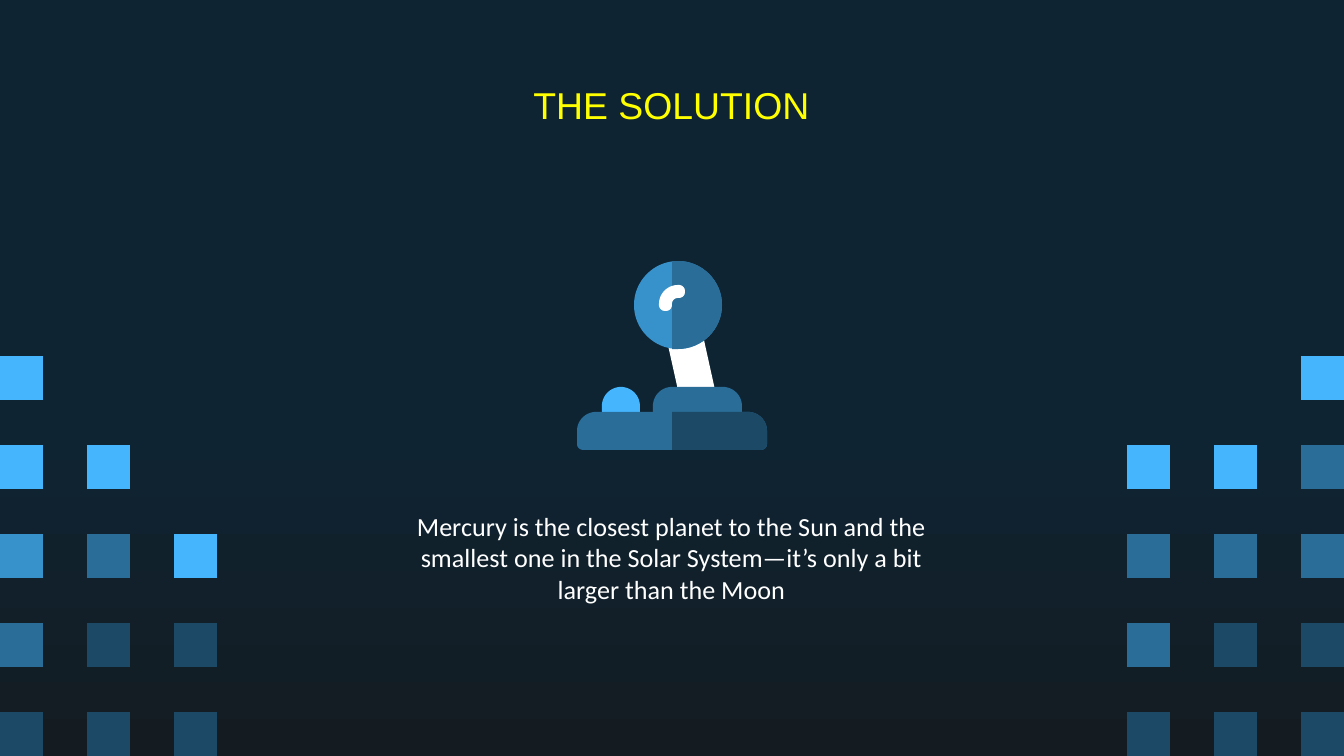
import pptx
import pptx.dml.color
import pptx.enum.text
import pptx.util

RGBColor = pptx.dml.color.RGBColor
NAVY = RGBColor(0x0E, 0x24, 0x33)
CHARCOAL = RGBColor(0x14, 0x1C, 0x21)
SKY = RGBColor(0x45, 0xB6, 0xFE)
AZURE = RGBColor(0x37, 0x92, 0xCB)
STEEL = RGBColor(0x29, 0x6D, 0x98)
DEEP = RGBColor(0x1C, 0x49, 0x66)
WHITE = RGBColor(0xFF, 0xFF, 0xFF)
YELLOW = RGBColor(0xFF, 0xFF, 0x00)

PX = 914400 / 134.4
CURVE_STEPS = 16
HANDLE = 0.55  # handle length that makes a cubic curve a quarter circle


def write_text(box, text, *, at, font, size, colour, anchor):
    box.left, box.top, box.width, box.height = [round(value * PX) for value in at]
    frame = box.text_frame
    frame.word_wrap = True
    frame.auto_size = pptx.enum.text.MSO_AUTO_SIZE.NONE
    frame.vertical_anchor = anchor
    frame.margin_left = frame.margin_right = pptx.util.Inches(0.1)
    frame.margin_top = frame.margin_bottom = pptx.util.Inches(0.1)
    para = frame.paragraphs[0]
    para.alignment = pptx.enum.text.PP_ALIGN.CENTER
    span = para.add_run()
    span.text = text
    span.font.name = font
    span.font.size = pptx.util.Pt(size)
    span.font.color.rgb = colour


def add_outline(colour, corners):
    """Draw a filled polygon from (x, y, radius) corners in px."""
    points = []
    for index, (x, y, radius) in enumerate(corners):
        if radius == 0:
            points.append((x * PX, y * PX))
            continue
        ends = []
        for other in (corners[index - 1], corners[(index + 1) % len(corners)]):
            dx, dy = other[0] - x, other[1] - y
            length = (dx * dx + dy * dy) ** 0.5
            ends.append((x + dx / length * radius, y + dy / length * radius))
        (ax, ay), (bx, by) = ends
        for step in range(CURVE_STEPS + 1):
            t = step / CURVE_STEPS
            near_start = (1 - t) ** 3 + 3 * (1 - t) ** 2 * t * (1 - HANDLE)
            near_end = t ** 3 + 3 * (1 - t) * t ** 2 * (1 - HANDLE)
            points.append(((x + (ax - x) * near_start + (bx - x) * near_end) * PX,
                           (y + (ay - y) * near_start + (by - y) * near_end) * PX))
    builder = page.shapes.build_freeform(*points[0], scale=1.0)
    builder.add_line_segments(points[1:], close=True)
    shape = builder.convert_to_shape()
    shape.shadow.inherit = False
    shape.fill.solid()
    shape.fill.fore_color.rgb = colour
    shape.line.fill.background()


deck = pptx.Presentation()
deck.slide_width = round(1344 * PX)
deck.slide_height = round(756 * PX)
page = deck.slides.add_slide(deck.slide_layouts[5])

backdrop = page.background.fill
backdrop.gradient()
backdrop.gradient_angle = 270
for stop, position, colour in zip(backdrop.gradient_stops, (0.56, 1), (NAVY, CHARCOAL)):
    stop.position = position
    stop.color.rgb = colour

# Stepped tiles in both lower corners: rows from the top, None for a gap
tile_groups = [
    (0, [(SKY, None, None), (SKY, SKY, None), (AZURE, STEEL, SKY),
         (STEEL, DEEP, DEEP), (DEEP, DEEP, DEEP)]),
    (1127, [(None, None, SKY), (SKY, SKY, STEEL), (STEEL, STEEL, STEEL),
            (STEEL, DEEP, DEEP), (DEEP, DEEP, DEEP)]),
]
for group_left, rows in tile_groups:
    for row, colours in enumerate(rows):
        for column, colour in enumerate(colours):
            if colour is not None:
                left, top = group_left + 87 * column, 356 + 89 * row
                add_outline(colour, [(left, top, 0), (left + 43, top, 0),
                                     (left + 43, top + 44, 0), (left, top + 44, 0)])

write_text(page.shapes.title, "THE SOLUTION", at=(105, 80, 1133, 49), font="Arial",
           size=20, colour=YELLOW, anchor=pptx.enum.text.MSO_ANCHOR.MIDDLE)
write_text(page.shapes.add_textbox(0, 0, 0, 0),
           "Mercury is the closest planet to the Sun and the smallest one in the "
           "Solar System—it’s only a bit larger than the Moon",
           at=(387, 497, 569, 133), font="Calibri", size=14, colour=WHITE,
           anchor=pptx.enum.text.MSO_ANCHOR.TOP)

# Joystick, from back to front
stick = [(666, 336, 4), (702, 331, 4), (717, 399, 4), (680, 399, 4)]
ball = [(634, 261, 44), (722, 261, 44), (722, 349, 44), (634, 349, 44)]
ball_shade = [(672, 261, 0), (722, 261, 44), (722, 349, 44), (672, 349, 0)]
glint = [(659, 285, 19), (685, 285, 6), (685, 298, 6),
         (672, 298, 6), (672, 311, 6), (659, 311, 6)]
mount = [(653, 387, 19), (742, 387, 19), (742, 425, 6), (653, 425, 6)]
button = [(602, 387, 19), (640, 387, 19), (640, 425, 6), (602, 425, 6)]
base = [(577, 412, 19), (767, 412, 19), (767, 450, 6), (577, 450, 6)]
base_shade = [(672, 412, 0), (767, 412, 19), (767, 450, 6), (672, 450, 0)]
for colour, corners in [(WHITE, stick), (AZURE, ball), (STEEL, ball_shade),
                        (WHITE, glint), (STEEL, mount), (SKY, button),
                        (STEEL, base), (DEEP, base_shade)]:
    add_outline(colour, corners)

deck.save("out.pptx")
